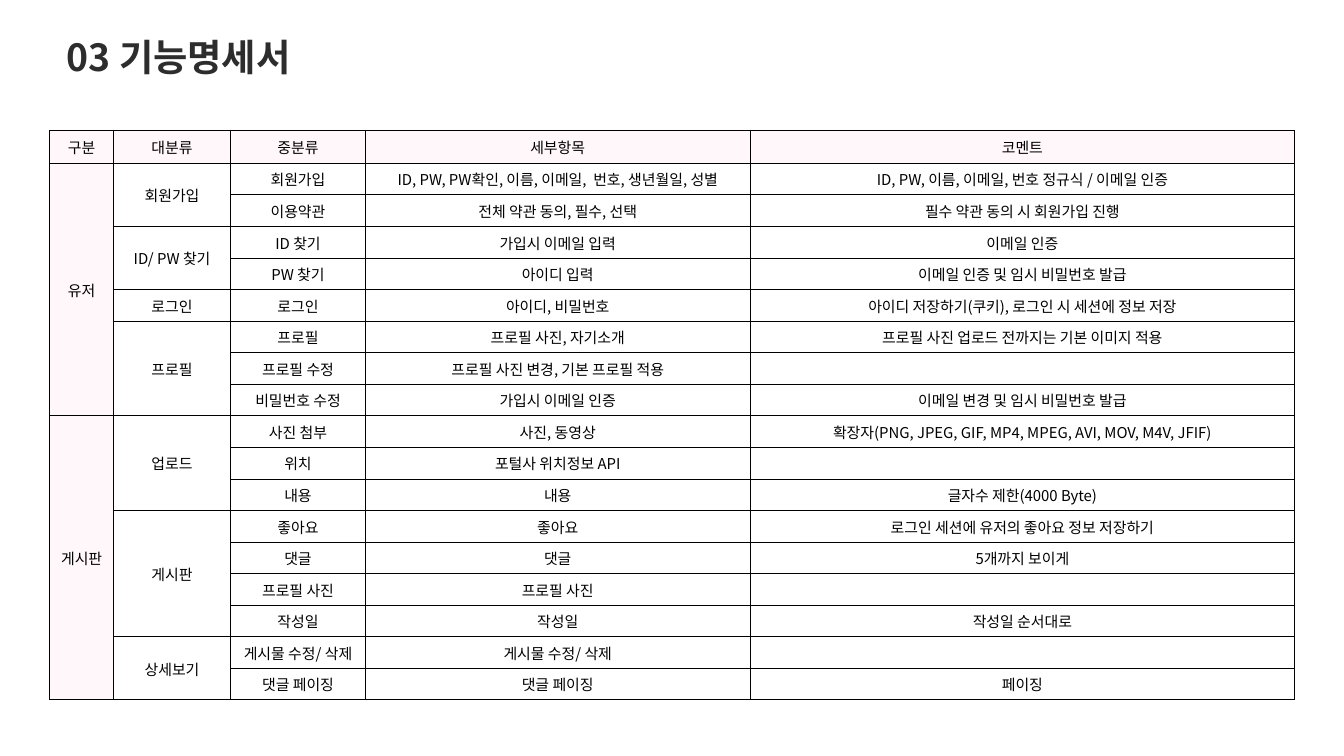
from lxml import etree
from pptx import Presentation
from pptx.dml.color import RGBColor
from pptx.enum.text import MSO_ANCHOR, MSO_AUTO_SIZE, PP_ALIGN
from pptx.oxml.ns import qn
from pptx.util import Inches, Pt

MIDDLE = MSO_ANCHOR.MIDDLE
NO_FIT = MSO_AUTO_SIZE.NONE
LEFT, CENTER = PP_ALIGN.LEFT, PP_ALIGN.CENTER

FONT = "Noto Sans CJK KR"
BLACK = RGBColor(0x00, 0x00, 0x00)
DARK = RGBColor(0x2D, 0x2D, 0x2D)
PINK = RGBColor(0xFF, 0xF7, 0xF9)

# Content: section > group > (item, details, comment)
TITLE = "03 기능명세서"
HEADS = ["구분", "대분류", "중분류", "세부항목", "코멘트"]
SPEC = [
    ("유저", [
        ("회원가입", [
            ("회원가입", "ID, PW, PW확인, 이름, 이메일,  번호, 생년월일, 성별",
             "ID, PW, 이름, 이메일, 번호 정규식 / 이메일 인증"),
            ("이용약관", "전체 약관 동의, 필수, 선택", "필수 약관 동의 시 회원가입 진행"),
        ]),
        ("ID/ PW 찾기", [
            ("ID 찾기", "가입시 이메일 입력", "이메일 인증"),
            ("PW 찾기", "아이디 입력", "이메일 인증 및 임시 비밀번호 발급"),
        ]),
        ("로그인", [
            ("로그인", "아이디, 비밀번호",
             "아이디 저장하기(쿠키), 로그인 시 세션에 정보 저장"),
        ]),
        ("프로필", [
            ("프로필", "프로필 사진, 자기소개",
             "프로필 사진 업로드 전까지는 기본 이미지 적용"),
            ("프로필 수정", "프로필 사진 변경, 기본 프로필 적용", ""),
            ("비밀번호 수정", "가입시 이메일 인증", "이메일 변경 및 임시 비밀번호 발급"),
        ]),
    ]),
    ("게시판", [
        ("업로드", [
            ("사진 첨부", "사진, 동영상",
             "확장자(PNG, JPEG, GIF, MP4, MPEG, AVI, MOV, M4V, JFIF)"),
            ("위치", "포털사 위치정보 API", ""),
            ("내용", "내용", "글자수 제한(4000 Byte)"),
        ]),
        ("게시판", [
            ("좋아요", "좋아요", "로그인 세션에 유저의 좋아요 정보 저장하기"),
            ("댓글", "댓글", "5개까지 보이게"),
            ("프로필 사진", "프로필 사진", ""),
            ("작성일", "작성일", "작성일 순서대로"),
        ]),
        ("상세보기", [
            ("게시물 수정/ 삭제", "게시물 수정/ 삭제", ""),
            ("댓글 페이징", "댓글 페이징", "페이징"),
        ]),
    ]),
]

# Table measures in inches
X, Y = 0.74, 1.94
COLS = [0.95, 1.74, 2.01, 5.72, 8.11]
HEAD_H, ROW_H = 0.49, 0.47


def style(para, size, color, align, bold=False):
    para.alignment = align
    for run in para.runs:
        font = run.font
        font.size, font.bold, font.name = Pt(size), bold, FONT
        font.color.rgb = color
        east = etree.SubElement(run._r.get_or_add_rPr(), qn("a:ea"))
        east.set("typeface", FONT)


def border(cell):
    props = cell._tc.get_or_add_tcPr()
    for side in ("lnL", "lnR", "lnT", "lnB"):
        line = etree.SubElement(props, qn("a:" + side), w=str(Pt(1)))
        fill = etree.SubElement(line, qn("a:solidFill"))
        etree.SubElement(fill, qn("a:srgbClr"), val=str(BLACK))


def put(cell, text):
    cell.text_frame.text = text
    style(cell.text_frame.paragraphs[0], 16, BLACK, CENTER)


def span(grid, top, end, col, text):
    cell = grid.cell(top, col)
    if end - top > 1:
        cell.merge(grid.cell(end - 1, col))
    put(cell, text)


def add_title(slide):
    title = slide.shapes.title
    title.left, title.top = Inches(0.89), Inches(0.46)
    title.width, title.height = Inches(5.78), Inches(0.77)
    frame = title.text_frame
    frame.text = TITLE
    frame.auto_size = NO_FIT
    frame.vertical_anchor = MIDDLE
    style(frame.paragraphs[0], 40, DARK, LEFT, True)


def add_grid(slide):
    count = 1 + sum(len(items) for _, groups in SPEC for _, items in groups)
    high = HEAD_H + ROW_H * (count - 1)
    grid = slide.shapes.add_table(count, len(COLS), Inches(X), Inches(Y),
                                  Inches(sum(COLS)), Inches(high)).table
    for col, width in zip(grid.columns, COLS):
        col.width = Inches(width)
    for r, row in enumerate(grid.rows):
        row.height = Inches(ROW_H if r else HEAD_H)

    # Borders, fills and margins
    for r in range(count):
        for c in range(len(COLS)):
            cell = grid.cell(r, c)
            border(cell)
            if r == 0 or c == 0:
                cell.fill.solid()
                cell.fill.fore_color.rgb = PINK
            else:
                cell.fill.background()
            cell.vertical_anchor = MIDDLE
            cell.margin_left = cell.margin_right = Inches(0.01)
            cell.margin_top, cell.margin_bottom = Inches(0.01), 0

    # Text, with sections and groups merged over their items
    for c, head in enumerate(HEADS):
        put(grid.cell(0, c), head)
    row = 1
    for section, groups in SPEC:
        first = row
        for group, items in groups:
            start = row
            for item in items:
                for c, text in enumerate(item, 2):
                    put(grid.cell(row, c), text)
                row += 1
            span(grid, start, row, 1, group)
        span(grid, first, row, 0, section)


def main():
    deck = Presentation()
    deck.slide_width, deck.slide_height = Inches(20), Inches(11.25)
    slide = deck.slides.add_slide(deck.slide_layouts[5])
    add_grid(slide)
    add_title(slide)
    deck.save("out.pptx")


if __name__ == "__main__":
    main()
